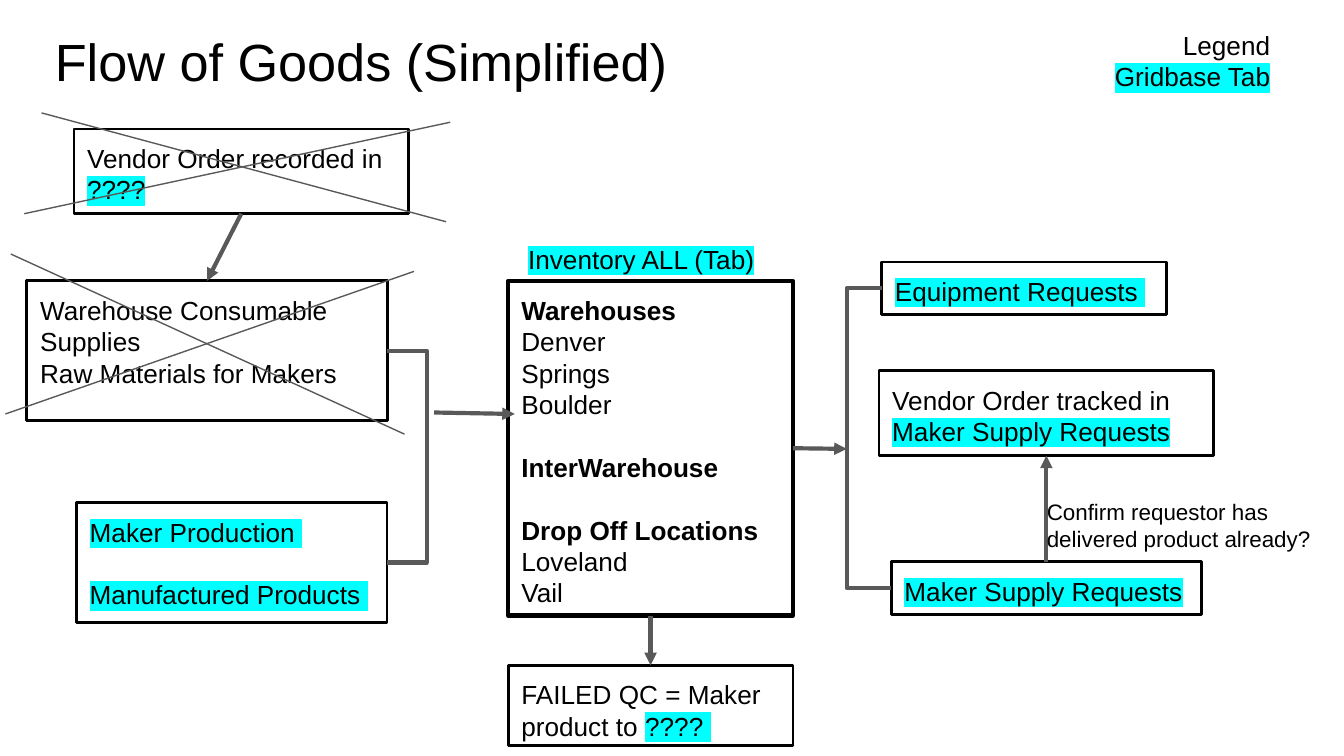
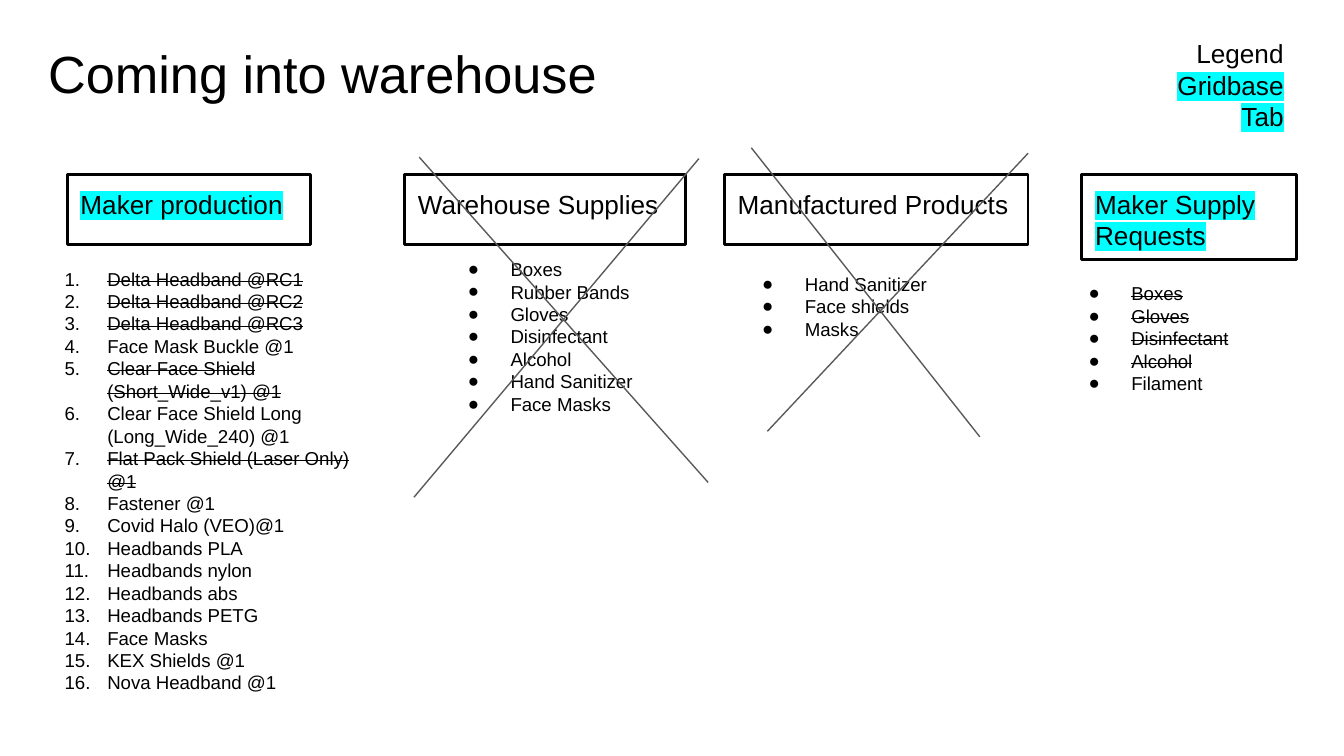
from pptx import Presentation
from pptx.util import Pt
from pptx.dml.color import RGBColor
from pptx.enum.shapes import MSO_SHAPE, MSO_CONNECTOR
from pptx.enum.text import PP_ALIGN, MSO_ANCHOR
from pptx.oxml.ns import qn
from lxml.etree import SubElement, Element

HUES = {"ink": "000000", "mark": "00FFFF", "wire": "595959"}
FONT = "Arial"
PAD = 7.2
INDENT, HANG = 36, 22.9
BLANK = 16.8


def hue(name):
    return RGBColor.from_string(HUES[name])


def style(run, size, flag):
    font = run.font
    font.size, font.name = Pt(size), FONT
    font.color.rgb = hue("ink")
    font.bold = flag == "*"
    props = font._element
    if flag == "~":
        props.set("strike", "sngStrike")
    if flag == "^":
        mark = Element(qn("a:highlight"))
        SubElement(mark, qn("a:srgbClr")).set("val", HUES["mark"])
        props.find(qn("a:solidFill")).addnext(mark)


def write(shape, lines, size=14, align=PP_ALIGN.LEFT, gaps=(), bullet=None):
    frame = shape.text_frame
    frame.word_wrap = True
    frame.vertical_anchor = MSO_ANCHOR.TOP
    frame.margin_left = frame.margin_right = Pt(PAD)
    frame.margin_top = frame.margin_bottom = Pt(PAD)
    for i, line in enumerate(lines):
        par = frame.add_paragraph() if i else frame.paragraphs[0]
        par.alignment = align
        if i in gaps:
            par.space_before = Pt(BLANK)
        parts = line.split("|")
        par.text = parts[0].lstrip("^*~")
        for part in parts[1:]:
            par.add_run().text = part.lstrip("^*~")
        for run, part in zip(par.runs, parts):
            style(run, size, part[0])
        if bullet:
            list_mark(par, bullet)
    return shape


def list_mark(par, bullet):
    props = par._p.get_or_add_pPr()
    props.set("marL", str(Pt(INDENT)))
    props.set("indent", str(-Pt(HANG)))
    tint = SubElement(props, qn("a:buClr"))
    SubElement(tint, qn("a:srgbClr")).set("val", HUES["ink"])
    if bullet == "1.":
        SubElement(props, qn("a:buAutoNum")).set("type", "arabicPeriod")
    else:
        SubElement(props, qn("a:buFont")).set("typeface", FONT)
        SubElement(props, qn("a:buChar")).set("char", bullet)


def label(slide, x, y, w, h, lines, **opts):
    box = slide.shapes.add_textbox(Pt(x), Pt(y), Pt(w), Pt(h))
    return write(box, lines, **opts)


def card(slide, x, y, w, h, lines, line=1.5, gaps=()):
    box = slide.shapes.add_shape(MSO_SHAPE.RECTANGLE, Pt(x), Pt(y), Pt(w), Pt(h))
    box.shadow.inherit = False
    box.fill.background()
    box.line.color.rgb = hue("ink")
    box.line.width = Pt(line)
    return write(box, lines, gaps=gaps)


def wire(slide, x1, y1, x2, y2, kind=MSO_CONNECTOR.STRAIGHT, width=2.25):
    link = slide.shapes.add_connector(kind, Pt(x1), Pt(y1), Pt(x2), Pt(y2))
    link.line.color.rgb = hue("wire")
    link.line.width = Pt(width)
    SubElement(link._element.spPr, qn("a:effectLst"))
    return link


def arrow(slide, x1=0, y1=0, x2=0, y2=0, start=None, end=None):
    link = wire(slide, x1, y1, x2, y2)
    if start:
        link.begin_connect(*start)
    if end:
        link.end_connect(*end)
    SubElement(link.line._get_or_add_ln(), qn("a:tailEnd")).set("type", "triangle")


def brace(slide, x1, y1, x2, y2, mid):
    link = wire(slide, x1, y1, x2, y2, MSO_CONNECTOR.ELBOW)
    geom = link._element.spPr.find(qn("a:prstGeom"))
    bends = geom.find(qn("a:avLst"))
    if bends is None:
        bends = SubElement(geom, qn("a:avLst"))
    bend = SubElement(bends, qn("a:gd"))
    bend.set("name", "adj1")
    bend.set("fmla", f"val {round((mid - x1) / (x2 - x1) * 100000)}")


def cross(slide, x, y, strokes):
    for x1, y1, x2, y2 in strokes:
        wire(slide, x + x1, y + y1, x + x2, y + y2, width=0.75)


def header(slide, x, y, title, legend):
    label(slide, x, y, 671, 45.4, [title], size=28)
    label(slide, *legend, ["Legend", "^Gridbase Tab"], align=PP_ALIGN.RIGHT)


def inflow(slide, x, y):
    order = card(slide, x + 25.2, y, 179.3, 45.4,
                 ["Vendor Order recorded in", "^????"])
    goods = card(slide, x, y + 81.4, 193, 74.9,
                 ["Warehouse Consumable Supplies", "Raw Materials for Makers"])
    card(slide, x + 26.6, y + 200.2, 166.4, 64.1,
         ["^Maker Production ", "^Manufactured Products "], gaps=[1])
    brace(slide, x + 193, y + 118.8, x + 193.05, y + 232.2, x + 211.7)
    arrow(slide, start=(order, 2), end=(goods, 0))
    cross(slide, x, y, [(7.9, -8.6, 224.6, 49.7), (226.8, -3.6, -1.4, 45.4),
                        (-8.6, 67, 202.3, 163.5), (207.4, 76.3, -11.5, 152.7)])


def stock(slide, x, y):
    label(slide, x + 3.6, y, 152.6, 26.6, ["^Inventory ALL (Tab)"])
    depot = card(slide, x, y + 27.4, 152.6, 179.3,
                 ["*Warehouses", "Denver", "Springs", "Boulder", "*InterWarehouse",
                  "*Drop Off Locations", "Loveland", "Vail"], 2.25, [4, 5])
    failed = card(slide, x, y + 233.3, 152.6, 43.2,
                  ["FAILED QC = Maker product to |^???? "])
    arrow(slide, x - 39.6, y + 97.9, x + 3.6, y + 98.7)
    arrow(slide, x2=x + 181.4, y2=y + 117.4, start=(depot, 3))
    arrow(slide, start=(depot, 2), end=(failed, 0))


def outflow(slide, x, y):
    card(slide, x + 18.7, y, 152.6, 28.1, ["^Equipment Requests "])
    order = card(slide, x + 17.3, y + 58.3, 179.3, 45.4,
                 ["Vendor Order tracked in", "^Maker Supply Requests"])
    ask = card(slide, x + 23.8, y + 160.6, 166.3, 28.1, ["^Maker Supply Requests"])
    brace(slide, x + 18.7, y + 14, x + 23.8, y + 174.7, x)
    arrow(slide, start=(ask, 0), end=(order, 2))
    label(slide, x + 100.1, y + 119.5, 157, 37.4,
          ["Confirm requestor has delivered product already?"], size=12)


def column(slide, x, y, w, h, head, area, items, bullet="●", strokes=()):
    card(slide, x, y, w, h, [head])
    dx, dy, wide, high = area
    label(slide, x + dx, y + dy, wide, high, items, size=10, bullet=bullet)
    cross(slide, x, y, strokes)


def flow(deck):
    slide = deck.slides.add_slide(deck.slide_layouts[6])
    header(slide, 22.3, 8.6, "Flow of Goods (Simplified)", (416.9, 8.6, 270.7, 71.3))
    inflow(slide, 14.4, 69.1)
    stock(slide, 272.2, 123.1)
    outflow(slide, 453.6, 140.4)


def coming(deck):
    slide = deck.slides.add_slide(deck.slide_layouts[6])
    header(slide, 18.7, 15.1, "Coming into warehouse", (598.3, 13, 96.5, 71.3))
    top = 93.6
    column(slide, 36, top, 130.3, 37.4, "^Maker production", (-21.6, 42.5, 197.3, 247),
           ["~Delta Headband @RC1", "~Delta Headband @RC2", "~Delta Headband @RC3",
            "Face Mask Buckle @1", "~Clear Face Shield (Short_Wide_v1) @1",
            "Clear Face Shield Long (Long_Wide_240) @1",
            "~Flat Pack Shield (Laser Only) @1", "Fastener @1", "Covid Halo (VEO)@1",
            "Headbands PLA", "Headbands nylon", "Headbands abs", "Headbands PETG",
            "Face Masks", "KEX Shields @1", "Nova Headband @1"], "1.")
    column(slide, 216.7, top, 150.5, 37.4, "Warehouse Supplies", (13.7, 37.4, 143.3, 106.6),
           ["Boxes", "Rubber Bands", "Gloves", "Disinfectant", "Alcohol",
            "Hand Sanitizer", "Face Masks"],
           strokes=[(7.9, -9.4, 162.7, 164.9), (157.7, -8.6, 5.1, 172.8)])
    column(slide, 388.1, top, 162.7, 37.4, "Manufactured Products", (0, 45.4, 143.3, 247),
           ["Hand Sanitizer", "Face shields", "Masks"],
           strokes=[(14.4, -14.4, 136.8, 140.4), (162.7, -11.5, 23, 137.5)])
    column(slide, 579.6, top, 115.2, 45.4, "^Maker Supply Requests", (-16.6, 50.4, 147.6, 85.7),
           ["~Boxes", "~Gloves", "~Disinfectant", "~Alcohol", "Filament"])


def main():
    deck = Presentation()
    deck.slide_width, deck.slide_height = Pt(720), Pt(405)
    flow(deck)
    coming(deck)
    deck.save("out.pptx")


if __name__ == "__main__":
    main()
